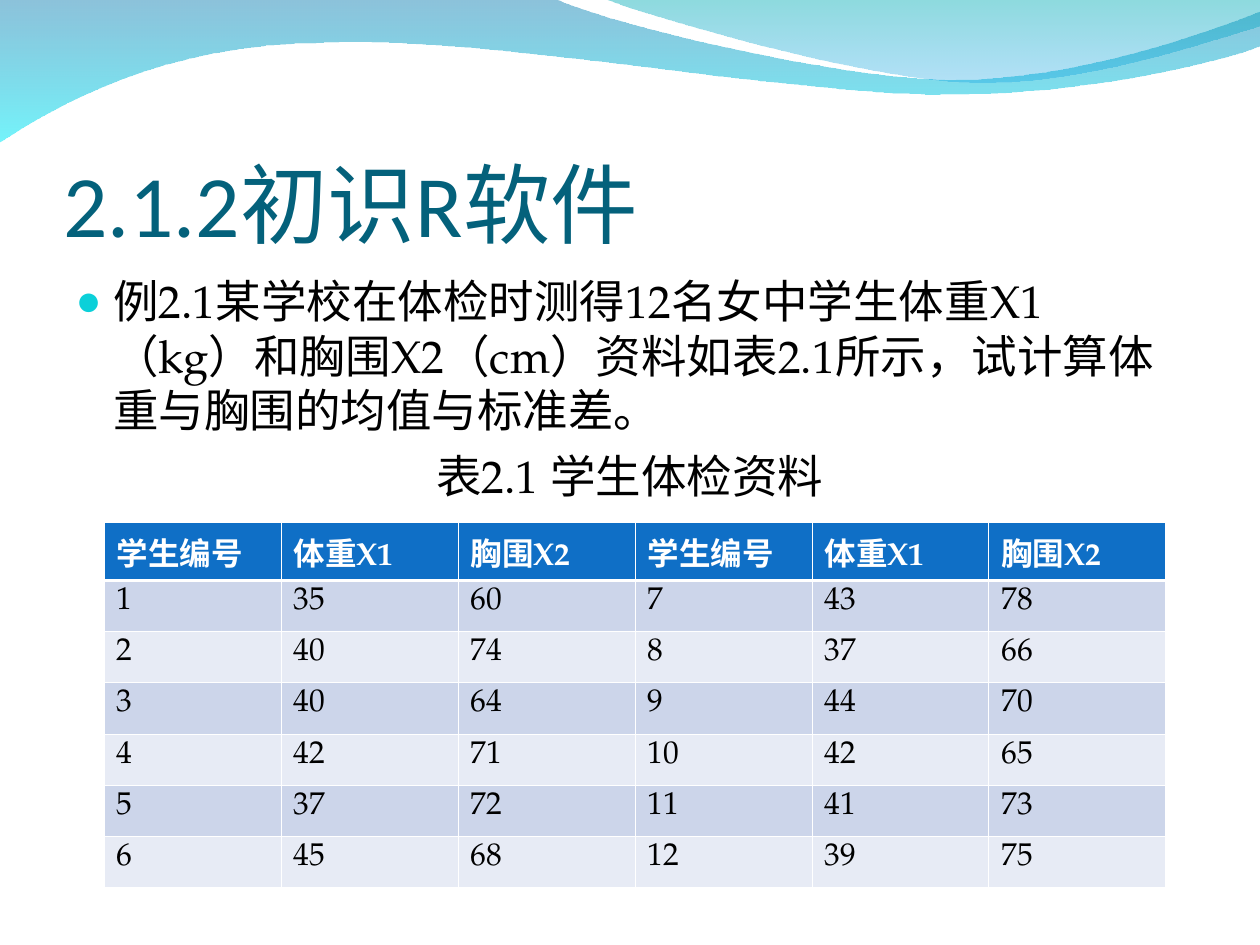
from lxml import etree
from pptx import Presentation
from pptx.dml.color import RGBColor
from pptx.enum import text as t
from pptx.oxml import ns, parse_xml
from pptx.util import Pt

WHITE, BLACK = "FFFFFF", "000000"
HEADINGS = ["学生编号", "体重X1", "胸围X2"]
STUDENTS = [
    (35, 60), (40, 74), (40, 64), (42, 71), (37, 72), (45, 68),
    (43, 78), (37, 66), (44, 70), (42, 65), (41, 73), (39, 75),
]
LOWER_WAVE = [
    [(0, -0.7)],
    [(317, -0.7)],
    [(343, 12.2), (478, 45.4), (546, 45.4)],
    [(614, 45.4), (690, 18.7), (720, 6.5)],
    [(720.7, 25.9)],
    [(709, 31.7), (626, 54.7), (537, 54)],
    [(448, 54), (275, 20.2), (185, 24.5)],
    [(93, 25.2), (33, 59.8), (-0.7, 81.4)],
]
UPPER_WAVE = [
    [(345, -0.7)],
    [(366.5, 7.9), (491, 44.6), (553.7, 46.8)],
    [(616.3, 49.7), (692, 23), (720, 15.1)],
    [(720, 0)],
]


def color(value):
    return RGBColor.from_string(value)


def add_xml(parent, tag, **attributes):
    return etree.SubElement(parent, ns.qn(tag), attributes)


def write(paragraph, text, font="TeX Gyre Pagella", size=18, fill=BLACK,
          bold=False, align=t.PP_ALIGN.LEFT, before=0):
    run = paragraph.add_run()
    run.text = text
    run.font.name = font
    run.font.size = Pt(size)
    run.font.bold = bold
    run.font.color.rgb = color(fill)
    paragraph.alignment = align
    paragraph.space_before = Pt(before)


class Deck:
    title_color = "04617B"
    bullet_color = "0BD0D9"
    header_fill = "0F6FC6"
    bands = ["CCD5EA", "E7EBF5"]

    def __init__(self):
        self.presentation = Presentation()
        self.presentation.slide_width = Pt(720)
        self.presentation.slide_height = Pt(540)
        layout = self.presentation.slide_layouts[1]
        self.slide = self.presentation.slides.add_slide(layout)

    def place(self, holder, left, top, width, height):
        holder.left, holder.top = Pt(left), Pt(top)
        holder.width, holder.height = Pt(width), Pt(height)
        frame = holder.text_frame
        frame.word_wrap = True
        frame.auto_size = t.MSO_AUTO_SIZE.NONE
        return frame

    def wave(self, outline, top, bottom):
        start, *rest = [(Pt(x), Pt(y)) for part in outline for x, y in part]
        builder = self.slide.shapes.build_freeform(*start, scale=1.0)
        builder.add_line_segments(rest, close=False)
        wave = builder.convert_to_shape()
        self.bend(wave, outline[1:])
        wave.shadow.inherit = False
        wave.line.fill.background()
        wave.fill.background()
        gradient = parse_xml(f"<a:gradFill {ns.nsdecls('a')}/>")
        stops = add_xml(gradient, "a:gsLst")
        for position, (shade, opacity) in ((0, top), (100, bottom)):
            stop = add_xml(stops, "a:gs", pos=str(position * 1000))
            shade = add_xml(stop, "a:srgbClr", val=shade)
            add_xml(shade, "a:alpha", val=str(opacity * 1000))
        add_xml(gradient, "a:lin", ang="5400000", scaled="0")
        properties = wave.element.spPr
        properties.replace(properties.find(ns.qn("a:noFill")), gradient)
        self.slide.shapes.title.element.addprevious(wave.element)

    def bend(self, wave, segments):
        lines = iter(list(wave.element.iter(ns.qn("a:lnTo"))))
        for segment in segments:
            first, *others = [next(lines) for _ in segment]
            if others:
                curve = add_xml(first.getparent(), "a:cubicBezTo")
                first.addprevious(curve)
                for line in (first, *others):
                    curve.append(line[0])
                    line.getparent().remove(line)
        outline = next(wave.element.iter(ns.qn("a:path")))
        add_xml(outline, "a:close")

    def title(self, text):
        frame = self.place(self.slide.shapes.title, 36, 55.5, 648, 90)
        frame.margin_left = frame.margin_right = frame.margin_bottom = 0
        frame.vertical_anchor = t.MSO_ANCHOR.BOTTOM
        write(frame.paragraphs[0], text, font="Calibri", size=50,
              fill=self.title_color)

    def body(self, example, caption):
        frame = self.place(self.slide.placeholders[1], 36, 152.6, 648, 345.6)
        first, second = frame.paragraphs[0], frame.add_paragraph()
        for paragraph in (first, second):
            properties = paragraph._p.get_or_add_pPr()
            properties.set("marL", str(Pt(21.4)))
            properties.set("indent", str(Pt(-21.4)))
        properties = first._p.get_or_add_pPr()
        bullet = add_xml(properties, "a:buClr")
        add_xml(bullet, "a:srgbClr", val=self.bullet_color)
        add_xml(properties, "a:buSzPct", val="95000")
        add_xml(properties, "a:buChar", char="●")
        add_xml(second._p.get_or_add_pPr(), "a:buNone")
        write(first, example, size=26)
        write(second, caption, size=26, align=t.PP_ALIGN.CENTER, before=6.5)

    def border(self, cell, **widths):
        properties = cell._tc.get_or_add_tcPr()
        for index, (side, width) in enumerate(widths.items()):
            line = parse_xml(
                f'<a:{side} {ns.nsdecls("a")} w="{Pt(width)}"><a:solidFill>'
                f'<a:srgbClr val="{WHITE}"/></a:solidFill></a:{side}>')
            properties.insert(index, line)

    def table(self, rows, left, top, column_width, row_height):
        columns = len(rows[0])
        table = self.slide.shapes.add_table(
            len(rows), columns, Pt(left), Pt(top),
            Pt(column_width * columns), Pt(row_height * len(rows))).table
        for column in table.columns:
            column.width = Pt(column_width)
        for r, row in enumerate(rows):
            table.rows[r].height = Pt(row_height)
            header = r == 0
            for c, value in enumerate(row):
                cell = table.cell(r, c)
                cell.fill.solid()
                cell.fill.fore_color.rgb = color(
                    self.header_fill if header else self.bands[(r - 1) % 2])
                self.border(cell, lnL=0.45, lnR=0.45,
                            lnT=1.47 if r == 1 else 0.45,
                            lnB=1.47 if header else 0.45)
                write(cell.text_frame.paragraphs[0], str(value),
                      bold=header, fill=WHITE if header else BLACK)


def main():
    deck = Deck()
    deck.wave(LOWER_WAVE, ("0079AF", 45), ("00EBF8", 55))
    deck.wave(UPPER_WAVE, ("00ADB6", 45), ("009BE5", 30))
    deck.title("2.1.2初识R软件")
    deck.body(
        "例2.1某学校在体检时测得12名女中学生体重X1（kg）和胸围X2（cm）"
        "资料如表2.1所示，试计算体重与胸围的均值与标准差。",
        "表2.1 学生体检资料")
    records = [(number, *values) for number, values in enumerate(STUDENTS, 1)]
    half = len(records) // 2
    rows = [a + b for a, b in zip(records[:half], records[half:])]
    deck.table([HEADINGS * 2] + rows, 59.6, 298.4, 101.1, 29.23)
    deck.presentation.save("out.pptx")


if __name__ == "__main__":
    main()
